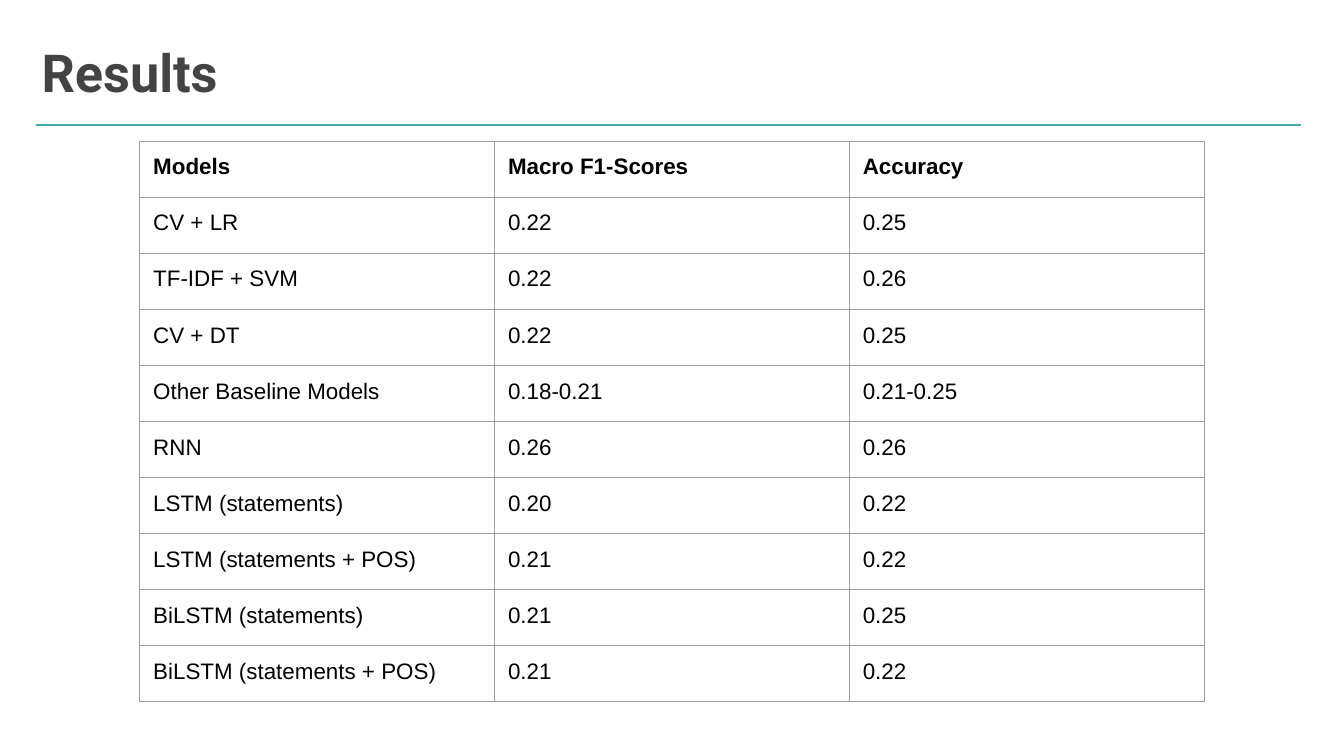
from lxml.etree import SubElement
from pptx import Presentation
from pptx.dml.color import RGBColor
from pptx.enum.shapes import MSO_CONNECTOR
from pptx.enum.text import MSO_ANCHOR, MSO_AUTO_SIZE, PP_ALIGN
from pptx.oxml.ns import qn
from pptx.util import Inches, Pt

COLORS = {"title": "434343", "rule": "3EADA7", "border": "9E9E9E", "text": "000000"}
INSET = Inches(0.1)
RESULTS = [
    ("Models", "Macro F1-Scores", "Accuracy"),
    ("CV + LR", "0.22", "0.25"),
    ("TF-IDF + SVM", "0.22", "0.26"),
    ("CV + DT", "0.22", "0.25"),
    ("Other Baseline Models", "0.18-0.21", "0.21-0.25"),
    ("RNN", "0.26", "0.26"),
    ("LSTM (statements)", "0.20", "0.22"),
    ("LSTM (statements + POS)", "0.21", "0.22"),
    ("BiLSTM (statements)", "0.21", "0.25"),
    ("BiLSTM (statements + POS)", "0.21", "0.22"),
]


def set_font(paragraph, name, size, color, bold):
    font = paragraph.font
    font.name, font.size, font.bold = name, Pt(size), bold
    font.color.rgb = RGBColor.from_string(COLORS[color])


def set_insets(target):
    target.margin_left = target.margin_right = INSET
    target.margin_top = target.margin_bottom = INSET


def add_title(slide, text, left, top, width, height):
    title = slide.shapes.title
    title.left, title.top = Inches(left), Inches(top)
    title.width, title.height = Inches(width), Inches(height)
    frame = title.text_frame
    frame.text = text
    frame.word_wrap = True
    frame.auto_size = MSO_AUTO_SIZE.NONE
    frame.vertical_anchor = MSO_ANCHOR.TOP
    set_insets(frame)
    heading = frame.paragraphs[0]
    heading.alignment = PP_ALIGN.LEFT
    set_font(heading, "Roboto", 28, "title", True)


def add_rule(slide, left, top, width):
    rule = slide.shapes.add_connector(
        MSO_CONNECTOR.STRAIGHT,
        Inches(left), Inches(top), Inches(left + width), Inches(top))
    rule.line.color.rgb = RGBColor.from_string(COLORS["rule"])
    rule.line.width = Pt(0.75)
    SubElement(rule.element.spPr, qn("a:effectLst"))


def add_borders(cell):
    """Draw a thin line on all four sides; call before the cell's fill is set."""
    properties = cell._tc.get_or_add_tcPr()
    for side in ("a:lnL", "a:lnR", "a:lnT", "a:lnB"):
        border = SubElement(properties, qn(side), w=str(Pt(0.75)))
        fill = SubElement(border, qn("a:solidFill"))
        SubElement(fill, qn("a:srgbClr"), val=COLORS["border"])


def add_results_table(slide, rows, left, top, width, height):
    table = slide.shapes.add_table(
        len(rows), len(rows[0]),
        Inches(left), Inches(top), Inches(width), Inches(height)).table
    table.horz_banding = False
    for row_index, row in enumerate(rows):
        for column_index, value in enumerate(row):
            cell = table.cell(row_index, column_index)
            cell.text = value
            set_insets(cell)
            add_borders(cell)
            cell.fill.background()
            set_font(cell.text_frame.paragraphs[0], "Arial", 12, "text", row_index == 0)


def main():
    presentation = Presentation()
    presentation.slide_width = Inches(10)
    presentation.slide_height = Inches(10 * 9 / 16)
    slide = presentation.slides.add_slide(presentation.slide_layouts.get_by_name("Title Only"))
    add_rule(slide, 0.27, 0.93, 9.41)
    add_title(slide, "Results", 0.21, 0.2, 6.96, 0.99)
    add_results_table(slide, RESULTS, 1.04, 1.05, 7.92, 4.17)
    presentation.save("out.pptx")


if __name__ == "__main__":
    main()
